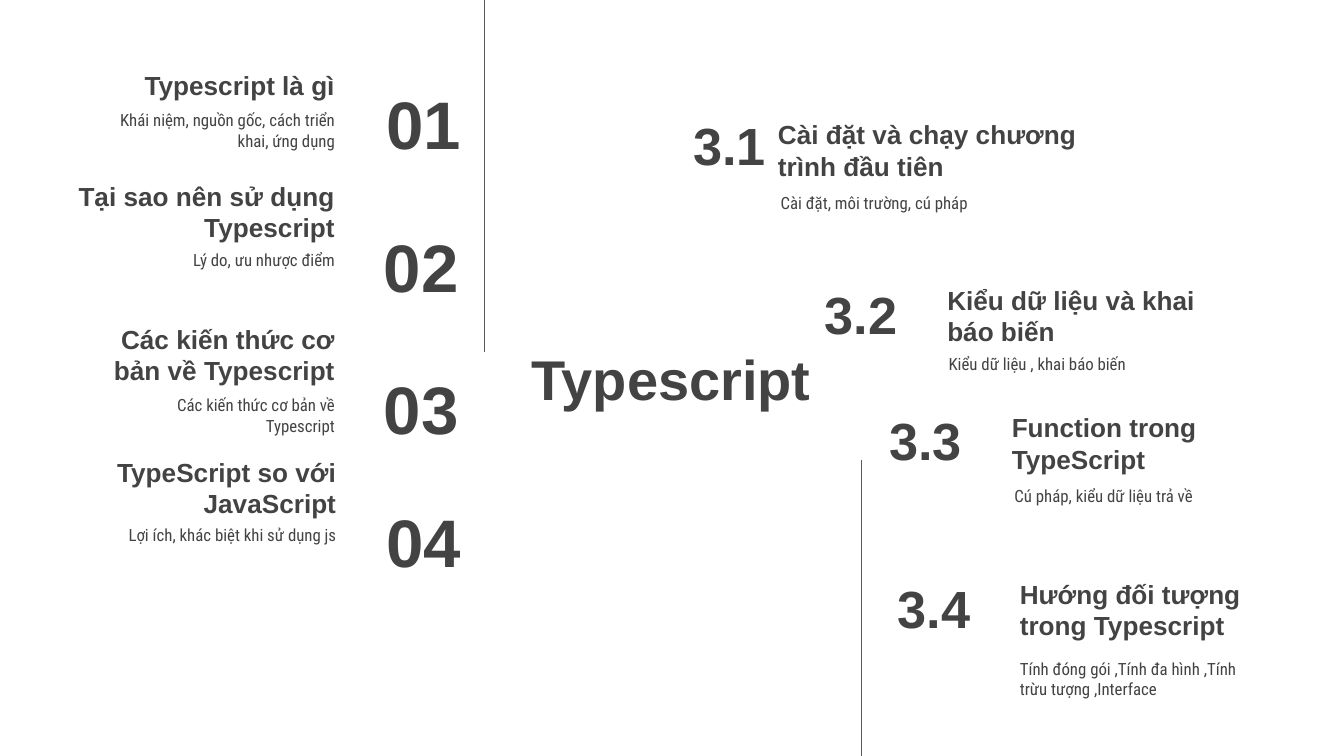
from pptx import Presentation
from pptx.dml.color import RGBColor
from pptx.enum.shapes import MSO_CONNECTOR as CONN
from pptx.enum.text import MSO_ANCHOR as ANCHOR, PP_ALIGN as ALIGN
from pptx.oxml.ns import qn
from pptx.util import Inches, Pt
from lxml import etree

COLS, ROWS = 100, 56.25
CELL = Inches(10) / COLS
INK = RGBColor(0x43, 0x43, 0x43)
RULE = RGBColor(0x59, 0x59, 0x59)
ROW_H = 6.3

FORMATS = {
    "heading": dict(name="Arial", size=Pt(30), bold=True),
    "number": dict(name="Arial", size=Pt(36), bold=True),
    "subnumber": dict(name="Arial", size=Pt(28), bold=True),
    "title": dict(name="Arial", size=Pt(14), bold=True),
    "body": dict(name="Roboto Condensed", size=Pt(9), bold=False),
}
ANCHORS = {"title": ANCHOR.BOTTOM, "body": ANCHOR.TOP}

CHAPTERS = [
    ("01", 4.3, 2.2, 23.2, "Typescript là gì",
     "Khái niệm, nguồn gốc, cách triển khai, ứng dụng"),
    ("02", 4.3, 12.8, 23, "Tại sao nên sử dụng Typescript",
     "Lý do, ưu nhược điểm"),
    ("03", 4.3, 23.4, 23, "Các kiến thức cơ bản về Typescript",
     "Các kiến thức cơ bản về Typescript"),
    ("04", 4.4, 33.3, 23.2, "TypeScript so với JavaScript",
     "Lợi ích, khác biệt khi sử dụng js"),
]
SECTIONS = [
    ("3.1", (50.6, 7.6), (56.9, 8.2, 27.2), (57.1, 13.6, 2.8),
     "Cài đặt và chạy chương trình đầu tiên", "Cài đặt, môi trường, cú pháp"),
    ("3.2", (60.4, 20.2), (69.5, 20.5, 21.6), (69.6, 25.6, ROW_H),
     "Kiểu dữ liệu và khai báo biến", "Kiểu dữ liệu , khai báo biến"),
    ("3.3", (65.2, 29.6), (74.3, 30, 21.6), (74.5, 35.4, ROW_H),
     "Function trong TypeScript", "Cú pháp, kiểu dữ liệu trả về"),
    ("3.4", (65.8, 42.1), (74.9, 42.4, 21.6), (74.9, 48, ROW_H),
     "Hướng đối tượng trong Typescript",
     "Tính đóng gói ,Tính đa hình ,Tính trừu tượng ,Interface"),
]


def grid(*cells):
    """Turn grid columns and rows into slide lengths."""
    return [round(c * CELL) for c in cells]


def add_text(s, kind, text, x, y, w, h=ROW_H, align=ALIGN.LEFT):
    """Add a text box in one of the named formats."""
    tf = s.shapes.add_textbox(*grid(x, y, w, h)).text_frame
    frame = dict(word_wrap=True,
                 vertical_anchor=ANCHORS.get(kind, ANCHOR.MIDDLE))
    sides = ("left", "top", "right", "bottom")
    frame.update({f"margin_{side}": Inches(0.1) for side in sides})
    for key, value in frame.items():
        setattr(tf, key, value)
    p = tf.paragraphs[0]
    p.alignment = align
    r = p.add_run()
    r.text = text
    for key, value in FORMATS[kind].items():
        setattr(r.font, key, value)
    r.font.color.rgb = INK


def add_rule(s, x, top, bottom):
    """Add a thin vertical line."""
    line = s.shapes.add_connector(CONN.STRAIGHT, *grid(x, top, x, bottom))
    line.line.color.rgb = RULE
    line.line.width = Pt(0.75)
    etree.SubElement(line._element.spPr, qn("a:effectLst"))


def add_chapter(s, number, x, y, number_x, title, body):
    """Add a right-aligned chapter with its number."""
    add_text(s, "title", title, x, y, 21.6, align=ALIGN.RIGHT)
    add_text(s, "body", body, x + 3.3, y + 5, 18.3, align=ALIGN.RIGHT)
    add_text(s, "number", number, number_x, y + 3.8, 12.1, align=ALIGN.RIGHT)


def add_section(s, number, number_at, title_at, body_at, title, body):
    """Add a left-aligned section with its number."""
    add_text(s, "subnumber", number, *number_at, 11.7)
    add_text(s, "title", title, *title_at)
    x, y, h = body_at
    add_text(s, "body", body, x, y, 18.3, h)


def main():
    """Build the table of contents slide."""
    prs = Presentation()
    prs.slide_width, prs.slide_height = grid(COLS, ROWS)
    s = prs.slides.add_slide(prs.slide_layouts[6])
    add_text(s, "heading", "Typescript", 37, 23, 25.9, 10.3, ALIGN.CENTER)
    add_rule(s, 36.05, 0, 26.2)
    add_rule(s, 64.1, 34.2, ROWS)
    for chapter in CHAPTERS:
        add_chapter(s, *chapter)
    for section in SECTIONS:
        add_section(s, *section)
    prs.save("out.pptx")


if __name__ == "__main__":
    main()
